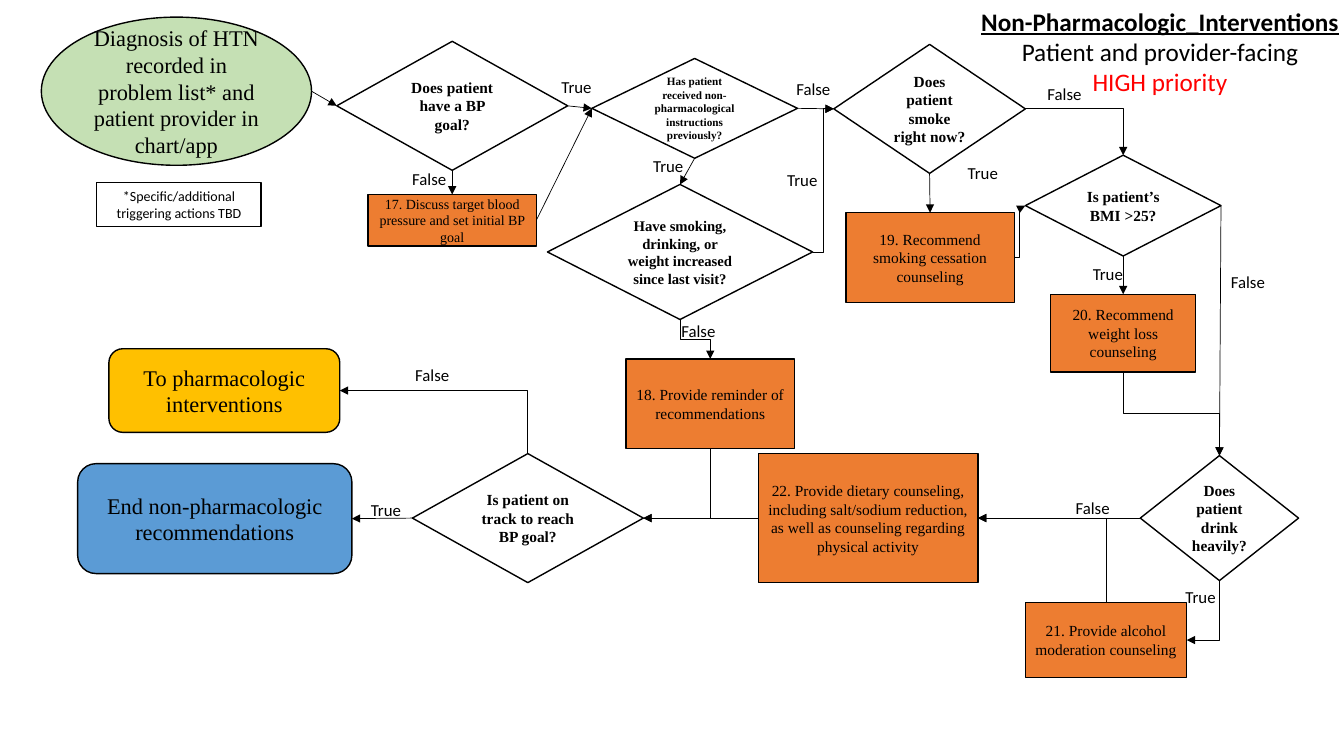
from lxml import etree
from pptx import Presentation, util as u
from pptx.dml.color import RGBColor
from pptx.enum import shapes, text
from pptx.oxml.ns import qn

BLACK = RGBColor(0x00, 0x00, 0x00)
WHITE = RGBColor(0xFF, 0xFF, 0xFF)
RED = RGBColor(0xFF, 0x00, 0x00)
GREEN = RGBColor(0xC5, 0xE0, 0xB4)
ORANGE = RGBColor(0xED, 0x7D, 0x31)
BLUE = RGBColor(0x5B, 0x9B, 0xD5)
GOLD = RGBColor(0xFF, 0xC0, 0x00)
SERIF, SANS = "Times New Roman", "Calibri"
TOP, LEFT, BOTTOM, RIGHT = range(4)
ELLIPSE_RIGHT = 6
SHAPE = shapes.MSO_SHAPE

DECISIONS = {
    "goal": ((33.4, 4.1, 22.9, 12.8), "Does patient have a BP goal?", 11),
    "instructed": ((58.7, 5.8, 20.4, 9.9),
                   "Has patient received non-pharmacological instructions previously?", 8),
    "increased": ((54.3, 18.3, 26.3, 13.4),
                  "Have smoking, drinking, or weight increased since last visit?", 10.5),
    "smoke": ((82.7, 4.4, 19, 12.8), "Does patient smoke right now?", 11),
    "bmi": ((101.7, 15.4, 19.4, 10), "Is patient\u2019s BMI >25?", 11),
    "drink": ((113.1, 45.2, 15.7, 12.4), "Does patient drink heavily?", 11),
    "on_track": ((40.9, 45, 22.9, 12.8), "Is patient on track to reach BP goal?", 11),
}
ACTIONS = {
    "target": ((36.5, 19.3, 16.7, 5.1),
               "17. Discuss target blood pressure and set initial BP goal", 10),
    "reminder": ((62.1, 35.6, 16.7, 8.9), "18. Provide reminder of recommendations", 11),
    "smoking": ((83.9, 21.1, 16.7, 8.9), "19. Recommend smoking cessation counseling", 11),
    "weight": ((104.2, 29.2, 14.4, 7.7), "20. Recommend weight loss counseling", 11),
    "alcohol": ((101.7, 59.8, 16, 7.4), "21. Provide alcohol moderation counseling", 11),
    "diet": ((75.2, 45, 21.8, 12.8),
             "22. Provide dietary counseling, including salt/sodium reduction, "
             "as well as counseling regarding physical activity", 11),
}
STRAIGHT_FLOWS = [
    ("diagnosis", RIGHT, "goal", LEFT),
    ("goal", RIGHT, "instructed", LEFT),
    ("goal", BOTTOM, "target", TOP),
    ("target", RIGHT, "instructed", LEFT),
    ("instructed", RIGHT, "smoke", LEFT),
    ("instructed", BOTTOM, "increased", TOP),
    ("smoke", BOTTOM, "smoking", TOP),
    ("bmi", BOTTOM, "weight", TOP),
    ("bmi", RIGHT, "drink", TOP),
    ("drink", LEFT, "diet", RIGHT),
    ("diet", LEFT, "on_track", RIGHT),
    ("on_track", LEFT, "end", RIGHT),
]
BENT_FLOWS = [
    ("increased", RIGHT, "smoke", LEFT),
    ("increased", BOTTOM, "reminder", TOP),
    ("reminder", BOTTOM, "on_track", RIGHT),
    ("smoke", RIGHT, "bmi", TOP),
    ("smoking", RIGHT, "bmi", LEFT),
    ("weight", BOTTOM, "drink", TOP),
    ("drink", BOTTOM, "alcohol", RIGHT),
    ("alcohol", TOP, "diet", RIGHT),
    ("on_track", TOP, "pharmacologic", RIGHT),
]
ANSWERS = {
    "True": [(54.7, 7.1), (63.8, 15), (77.1, 16.3), (95, 15.7),
             (107.4, 25.7), (116.6, 57.7), (35.8, 49.1)],
    "False": [(39.9, 16.2), (78, 7.3), (102.9, 7.8), (121.1, 26.5),
              (66.6, 31.3), (105.7, 48.9), (40.2, 35.7)],
}


def grid(*cells):
    """Turn columns and rows of a tenth of an inch into lengths."""
    return [u.Inches(cell / 10) for cell in cells]


def style(paragraph, size, font, color=BLACK, bold=False, underline=False):
    """Format every run of a paragraph."""
    for run in paragraph.runs:
        run.font.size = u.Pt(size)
        run.font.name = font
        run.font.color.rgb = color
        run.font.bold = bold
        run.font.underline = underline


def node(slide, kind, place, words, size, fill=None, font=SERIF, bold=False):
    """Add an outlined flowchart shape with centred text."""
    step = slide.shapes.add_shape(kind, *grid(*place))
    step.shadow.inherit = False
    if fill is None:
        step.fill.background()
    else:
        step.fill.solid()
        step.fill.fore_color.rgb = fill
    step.line.color.rgb = BLACK
    step.line.width = u.Pt(1)
    frame = step.text_frame
    frame.text = words
    frame.word_wrap = True
    frame.vertical_anchor = text.MSO_ANCHOR.MIDDLE
    frame.paragraphs[0].alignment = text.PP_ALIGN.CENTER
    style(frame.paragraphs[0], size, font, bold=bold)
    return step


def answer(slide, place, words):
    """Add the True or False label of a branch."""
    frame = slide.shapes.add_textbox(*grid(*place, 5.7, 3)).text_frame
    frame.word_wrap = False
    frame.text = words
    style(frame.paragraphs[0], 12, SANS)


def flow(slide, kind, source, exit_side, target, entry_side):
    """Join two steps with a thin arrow."""
    arrow = slide.shapes.add_connector(kind, 0, 0, 0, 0)
    arrow.begin_connect(source, exit_side)
    arrow.end_connect(target, entry_side)
    if source.auto_shape_type == SHAPE.OVAL:
        arrow._element.find(".//" + qn("a:stCxn")).set("idx", str(ELLIPSE_RIGHT))
    arrow.line.color.rgb = BLACK
    arrow.line.width = u.Pt(0.5)
    etree.SubElement(arrow.line._get_or_add_ln(), qn("a:tailEnd"), type="triangle")
    etree.SubElement(arrow._element.spPr, qn("a:effectLst"))
    return arrow


def bent_flow(slide, source, exit_side, target, entry_side):
    """Join two steps with an arrow that turns at right angles."""
    arrow = flow(slide, shapes.MSO_CONNECTOR.ELBOW, source, exit_side, target, entry_side)
    properties = arrow._element.spPr
    if exit_side % 2 != entry_side % 2:
        properties.find(qn("a:prstGeom")).set("prst", "bentConnector2")
    if exit_side in (TOP, BOTTOM):
        across, down = arrow.end_x - arrow.begin_x, arrow.end_y - arrow.begin_y
        middle_x = (arrow.begin_x + arrow.end_x) // 2
        middle_y = (arrow.begin_y + arrow.end_y) // 2
        arrow.width, arrow.height = abs(down), abs(across)
        arrow.left = middle_x - arrow.width // 2
        arrow.top = middle_y - arrow.height // 2
        turn = 90 if down > 0 and across < 0 else 270
        frame = properties.find(qn("a:xfrm"))
        frame.set("rot", str(turn * 60000))
        frame.set("flipH", str(int(down > 0 and across > 0)))
        frame.set("flipV", str(int(down < 0 and across < 0)))


def heading(slide):
    """Add the three-line heading in the upper right corner."""
    frame = slide.shapes.add_textbox(*grid(95, 0.1, 40.1, 10.1)).text_frame
    frame.word_wrap = True
    frame.text = "Non-Pharmacologic_Interventions\nPatient and provider-facing\nHIGH priority"
    title, audience, priority = frame.paragraphs
    for line in frame.paragraphs:
        line.alignment = text.PP_ALIGN.CENTER
    style(title, 18, SANS, bold=True, underline=True)
    style(audience, 18, SANS)
    style(priority, 18, SANS, RED)


def main():
    """Build the flowchart and save it."""
    deck = Presentation()
    deck.slide_width, deck.slide_height = grid(133.3, 75)
    slide = deck.slides.add_slide(deck.slide_layouts[6])
    steps = {
        "diagnosis": node(slide, SHAPE.OVAL, (4.1, 1.7, 26.8, 14.7),
                          "Diagnosis of HTN recorded in problem list* and "
                          "patient provider in chart/app", 16, GREEN),
        "pharmacologic": node(slide, SHAPE.ROUNDED_RECTANGLE, (10.8, 34.6, 22.9, 8.3),
                              "To pharmacologic interventions", 16, GOLD),
        "end": node(slide, SHAPE.ROUNDED_RECTANGLE, (7.7, 46, 27.2, 10.9),
                    "End non-pharmacologic recommendations", 16, BLUE),
    }
    node(slide, SHAPE.RECTANGLE, (9.6, 18.1, 16.3, 4.4),
         "*Specific/additional triggering actions TBD", 10, WHITE, SANS)
    for key, question in DECISIONS.items():
        steps[key] = node(slide, SHAPE.DIAMOND, *question, bold=True)
    for key, advice in ACTIONS.items():
        steps[key] = node(slide, SHAPE.RECTANGLE, *advice, ORANGE)
    for source, exit_side, target, entry_side in STRAIGHT_FLOWS:
        flow(slide, shapes.MSO_CONNECTOR.STRAIGHT,
             steps[source], exit_side, steps[target], entry_side)
    for source, exit_side, target, entry_side in BENT_FLOWS:
        bent_flow(slide, steps[source], exit_side, steps[target], entry_side)
    for words, places in ANSWERS.items():
        for place in places:
            answer(slide, place, words)
    heading(slide)
    deck.save("out.pptx")


main()
